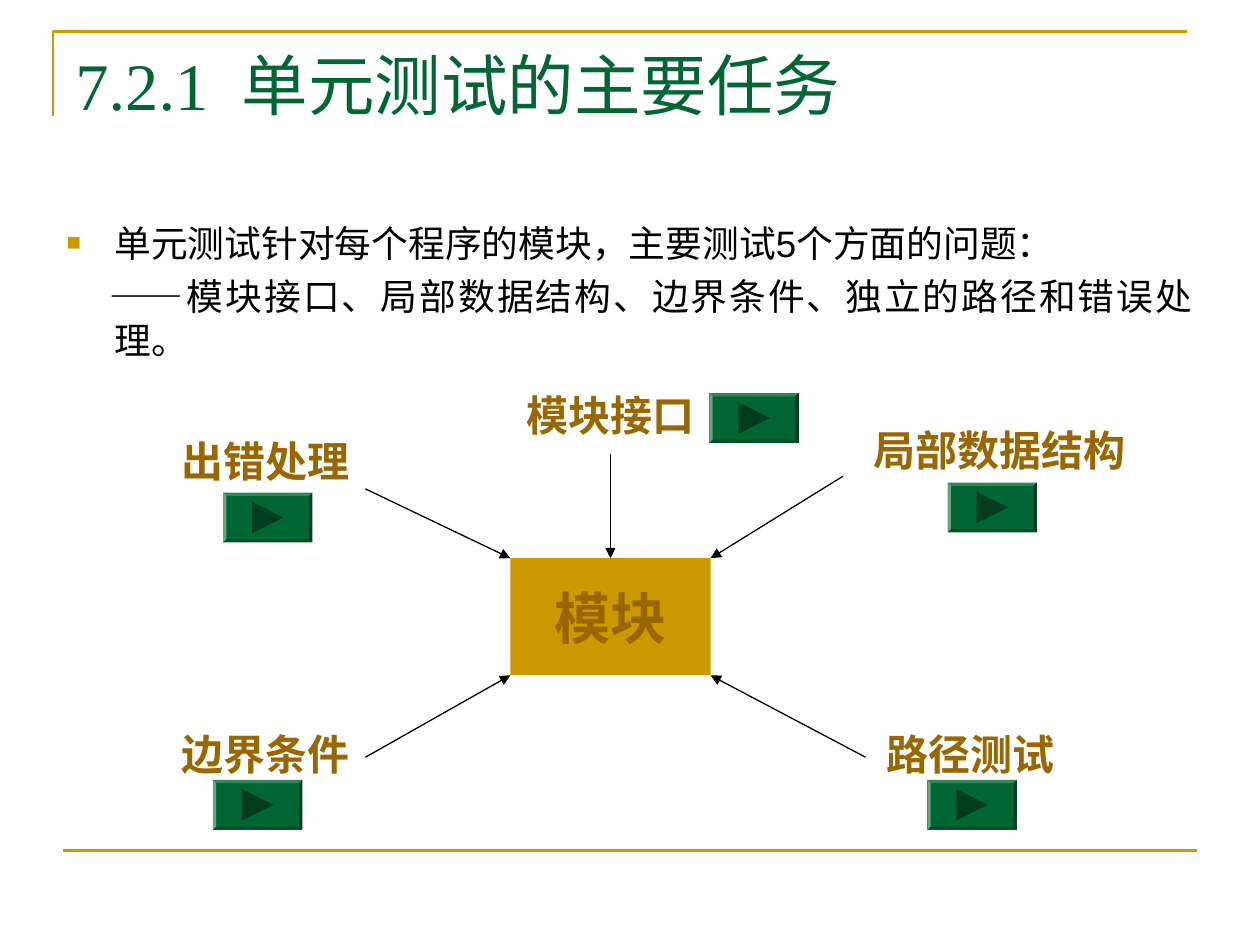
from typing import NamedTuple

from lxml.etree import SubElement
from pptx import Presentation
from pptx.dml.color import RGBColor
from pptx.enum.shapes import MSO_CONNECTOR, MSO_SHAPE
from pptx.enum.text import MSO_ANCHOR, PP_ALIGN
from pptx.oxml.ns import qn
from pptx.util import Emu, Inches, Pt

GOLD = RGBColor(0xCC, 0x99, 0x00)
BROWN = RGBColor(0x99, 0x66, 0x00)
GREEN = RGBColor(0x00, 0x66, 0x33)
BLACK = RGBColor(0, 0, 0)
SERIF, SANS = "Times New Roman", "Arial"

# The slide is a grid of 100 columns by 75 rows of square cells
COLUMNS, ROWS = 100, 75
CELL = Inches(0.1)
BUTTON_WIDTH, BUTTON_HEIGHT, BEVEL = 7.1, 3.95, 0.26
LABEL_HEIGHT = 5

# Shading of the button: face, top, right, bottom and left bevels, triangle
BUTTON_SHADES = ("norm", "lightenLess", "darken", "darkenLess", "lighten", "darken")


class Point(NamedTuple):
    column: float
    row: float


class Box(NamedTuple):
    column: float
    row: float
    width: float
    height: float


class TextStyle(NamedTuple):
    size: float
    font: str
    color: RGBColor
    bold: bool = False


class Task(NamedTuple):
    text: str
    label: Point
    label_width: float
    button: Point
    arrow_start: Point
    arrow_end: Point
    font: str = SERIF


MODULE = Box(40.5, 44.3, 15.9, 9.3)
LEFT, TOP = MODULE.column, MODULE.row
RIGHT, BOTTOM = LEFT + MODULE.width, TOP + MODULE.height
TOP_CENTER = Point(LEFT + MODULE.width / 2, TOP)

TASKS = [
    Task("模块接口", Point(37, 30.4), 22.9, Point(56.3, 31.2),
         Point(TOP_CENTER.column, 36), TOP_CENTER),
    Task("局部数据结构", Point(66.1, 33.2), 26.4, Point(75.2, 38.3),
         Point(66.9, 37.8), Point(RIGHT, TOP)),
    Task("路径测试", Point(66.9, 57.3), 20.3, Point(73.6, 61.9),
         Point(68.7, 60.1), Point(RIGHT, BOTTOM), SANS),
    Task("出错处理", Point(11.4, 34.1), 19.4, Point(17.7, 39.1),
         Point(29, 38.8), Point(LEFT, TOP)),
    Task("边界条件", Point(11.4, 57.3), 19.4, Point(16.9, 61.9),
         Point(29, 60.1), Point(LEFT, BOTTOM)),
]


def cells(count: float) -> Emu:
    return Emu(round(count * CELL))


def add_run(paragraph, text: str, style: TextStyle):
    run = paragraph.add_run()
    run.text = text
    run.font.size = Pt(style.size)
    run.font.name = style.font
    run.font.bold = style.bold
    run.font.color.rgb = style.color
    return run


def add_text(shapes, box: Box, text: str, style: TextStyle, align=PP_ALIGN.LEFT):
    frame = shapes.add_textbox(*map(cells, box)).text_frame
    frame.word_wrap = True
    paragraph = frame.paragraphs[0]
    paragraph.alignment = align
    add_run(paragraph, text, style)
    return frame


def add_outline(shapes, contours: list[list[Point]], closed: bool = True):
    builder = None
    for contour in contours:
        start, *rest = [(cells(column), cells(row)) for column, row in contour]
        if builder is None:
            builder = shapes.build_freeform(*start, scale=1.0)
        else:
            builder.move_to(*start)
        builder.add_line_segments(rest, close=closed)
    shape = builder.convert_to_shape()
    shape.shadow.inherit = False
    return shape


def add_line(shapes, start: Point, end: Point, color: RGBColor, width: float,
             arrow: bool = False):
    line = shapes.add_connector(MSO_CONNECTOR.STRAIGHT, *map(cells, (*start, *end)))
    line.line.color.rgb = color
    line.line.width = Pt(width)
    properties = line._element.spPr
    if arrow:
        SubElement(properties.find(qn("a:ln")), qn("a:tailEnd"), type="triangle")
    SubElement(properties, qn("a:effectLst"))
    return line


def shade_contours(shape, shades: tuple[str, ...]) -> None:
    """Give each contour of a freeform its own path and shade."""
    path_list = next(shape._element.iter(qn("a:pathLst")))
    whole = path_list[0]
    remaining = iter(shades)
    for step in list(whole):
        if step.tag == qn("a:moveTo"):
            part = SubElement(path_list, qn("a:path"), w=whole.get("w"),
                              h=whole.get("h"), fill=next(remaining))
        part.append(step)
    path_list.remove(whole)


def add_button(shapes, corner: Point) -> None:
    """Draw a bevelled button with a forward triangle."""
    def rectangle(inset: float) -> list[Point]:
        left, top = corner.column + inset, corner.row + inset
        right = corner.column + BUTTON_WIDTH - inset
        bottom = corner.row + BUTTON_HEIGHT - inset
        return [Point(left, top), Point(right, top),
                Point(right, bottom), Point(left, bottom)]

    outer, inner = rectangle(0), rectangle(BEVEL)
    bevels = [[outer[side], outer[side - 3], inner[side - 3], inner[side]]
              for side in range(4)]
    middle = corner.row + BUTTON_HEIGHT / 2
    left = corner.column + 2.3
    triangle = [Point(left, middle - 1.25), Point(left + 2.5, middle),
                Point(left, middle + 1.25)]
    button = add_outline(shapes, [outer, *bevels, triangle])
    button.fill.solid()
    button.fill.fore_color.rgb = GREEN
    button.line.fill.background()
    shade_contours(button, BUTTON_SHADES)


def add_bullet(paragraph) -> None:
    properties = paragraph._p.get_or_add_pPr()
    color = SubElement(properties, qn("a:buClr"))
    SubElement(color, qn("a:srgbClr"), val=str(GOLD))
    SubElement(properties, qn("a:buSzPct"), val="65000")
    SubElement(properties, qn("a:buFont"), typeface=SANS)
    SubElement(properties, qn("a:buChar"), char="■")


def set_indent(paragraph, first_line: float) -> None:
    properties = paragraph._p.get_or_add_pPr()
    properties.set("marL", str(cells(3.8)))
    properties.set("indent", str(cells(first_line)))


def add_body(shapes) -> None:
    style = TextStyle(21, SANS, BLACK)
    frame = add_text(shapes, Box(4.3, 17, 91.4, 15.7),
                     "单元测试针对每个程序的模块，主要测试5个方面的问题：", style,
                     PP_ALIGN.JUSTIFY)
    set_indent(frame.paragraphs[0], -3.8)
    add_bullet(frame.paragraphs[0])
    detail = frame.add_paragraph()
    detail.alignment = PP_ALIGN.JUSTIFY
    detail.space_before = Pt(5.2)
    set_indent(detail, -0.4)
    run = add_run(detail, "——模块接口、局部数据结构、边界条件、独立的路径和错误处理。", style)
    # Slightly open letter spacing, in hundredths of a point
    run.font._element.set("spc", "50")


def add_module(shapes):
    module = shapes.add_shape(MSO_SHAPE.RECTANGLE, *map(cells, MODULE))
    module.shadow.inherit = False
    module.fill.solid()
    module.fill.fore_color.rgb = GOLD
    module.line.fill.background()
    frame = module.text_frame
    frame.word_wrap = False
    frame.vertical_anchor = MSO_ANCHOR.MIDDLE
    frame.paragraphs[0].alignment = PP_ALIGN.CENTER
    add_run(frame.paragraphs[0], "模块", TextStyle(32, SERIF, BROWN, True))
    return module


def main() -> None:
    presentation = Presentation()
    presentation.slide_width, presentation.slide_height = cells(COLUMNS), cells(ROWS)
    shapes = presentation.slides.add_slide(presentation.slide_layouts[6]).shapes

    # Corner frame and bottom rule
    corner = [Point(4.2, 9.2), Point(4.2, 2.5), Point(94.2, 2.5)]
    frame = add_outline(shapes, [corner], closed=False)
    frame.fill.background()
    frame.line.color.rgb = GOLD
    frame.line.width = Pt(1.5)
    add_line(shapes, Point(5, 67.5), Point(95, 67.5), GOLD, 1.5)

    # Title and body
    add_text(shapes, Box(5, 3, 90, 12.5), "7.2.1  单元测试的主要任务",
             TextStyle(38, SERIF, GREEN))
    add_body(shapes)

    # Module with the five tasks pointing at it
    module = add_module(shapes)
    for task in TASKS:
        arrow = add_line(shapes, task.arrow_start, task.arrow_end, BLACK, 0.75, True)
        if task.arrow_end == TOP_CENTER:
            arrow.end_connect(module, 0)
        add_text(shapes, Box(*task.label, task.label_width, LABEL_HEIGHT), task.text,
                 TextStyle(24, task.font, BROWN, True), PP_ALIGN.CENTER)
        add_button(shapes, task.button)

    presentation.save("out.pptx")


if __name__ == "__main__":
    main()
